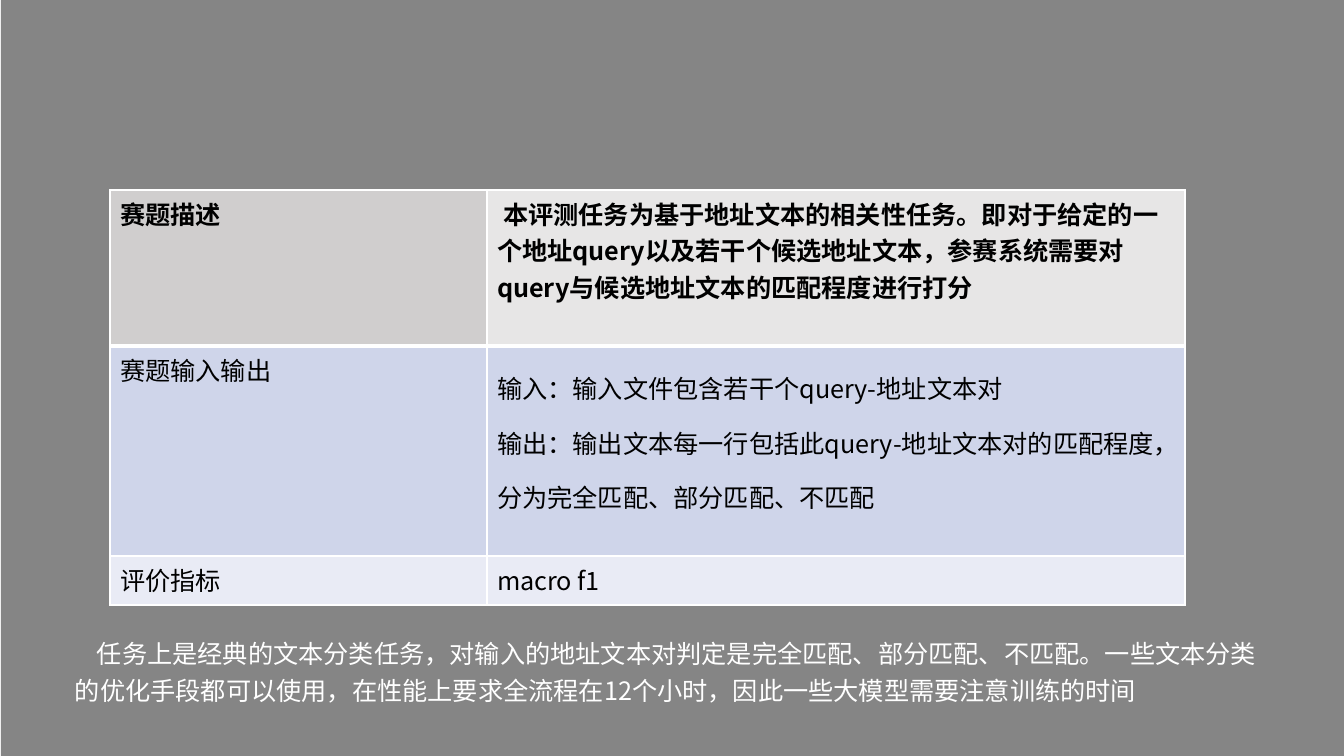
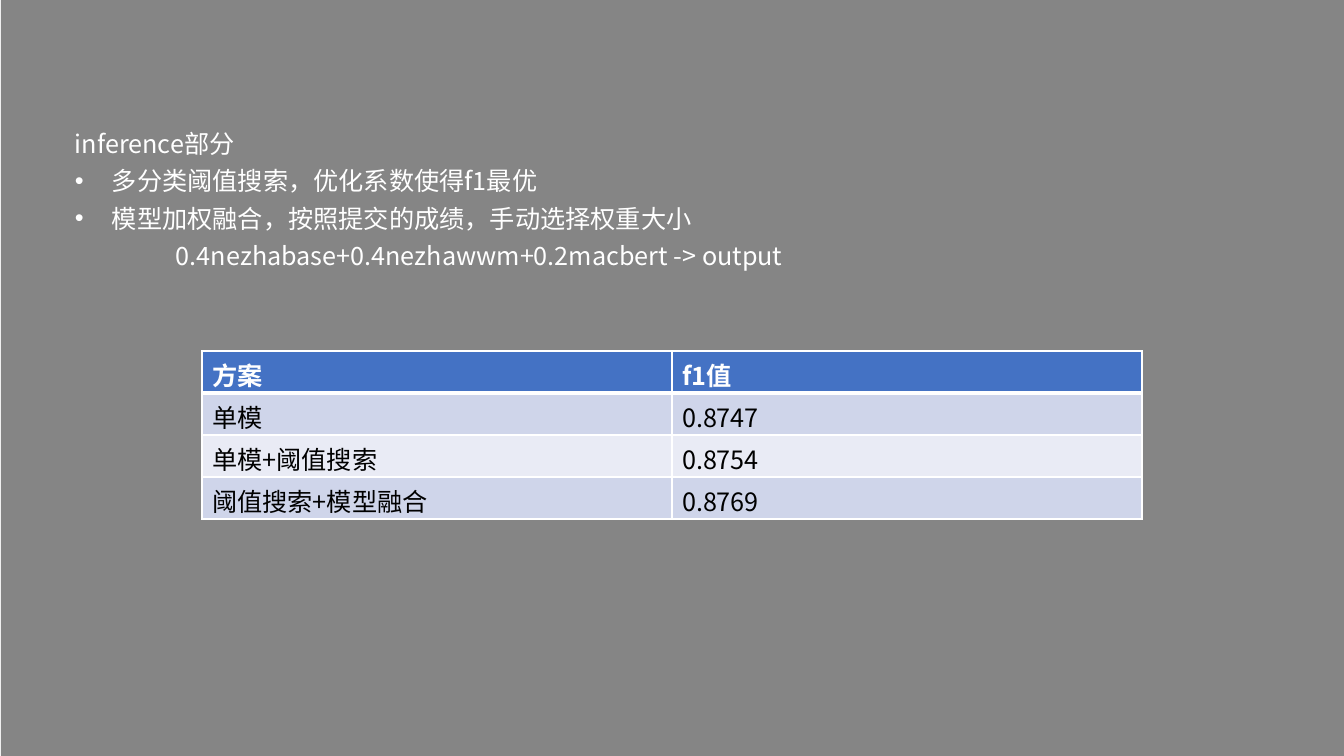
from dataclasses import dataclass

from lxml import etree
from pptx import Presentation
from pptx import util as u
from pptx.dml.color import RGBColor
from pptx.enum import shapes, text
from pptx.oxml.ns import qn

SLIDE_W, SLIDE_H = 1344, 756
PX_PER_INCH = 100.8
BLANK_LAYOUT = 6


@dataclass(frozen=True)
class Theme:
    font: str = "Noto Sans CJK SC"
    size: int = 18
    white: str = "FFFFFF"
    black: str = "000000"
    scrim: str = "0D0D0D"
    header: str = "4472C4"
    label_head: str = "D0CECE"
    value_head: str = "E7E6E6"
    bands: tuple = ("CFD5EA", "E9EBF5")
    thin: int = 1
    thick: int = 3
    note_spacing: float = 1.24
    cell_spacing: float = 1.5


THEME = Theme()


@dataclass(frozen=True)
class Para:
    """One paragraph; margin and first-line indent are in px."""
    words: str
    margin: int = 0
    indent: int = 0
    bullet: str = ""


def px(n):
    return u.Emu(round(n * 914400 / PX_PER_INCH))


def child(parent, tag, **attrs):
    return etree.SubElement(parent, qn(tag), attrs)


def write(frame, paras, color, bold=False, spacing=1.0):
    for i, para in enumerate(paras):
        line = frame.paragraphs[0] if i == 0 else frame.add_paragraph()
        line.line_spacing = spacing
        props = line._p.get_or_add_pPr()
        props.set("marL", str(px(para.margin)))
        props.set("indent", str(px(para.indent)))
        if para.bullet:
            child(props, "a:buFont", typeface="Arial")
            child(props, "a:buChar", char=para.bullet)
        run = line.add_run()
        run.text = para.words
        run.font.size = u.Pt(THEME.size)
        run.font.bold = bold
        run.font.color.rgb = RGBColor.from_string(color)
        run.font.name = THEME.font
        child(run._r.get_or_add_rPr(), "a:ea", typeface=THEME.font)


def add_scrim(slide):
    """Put the half-transparent dark layer on the layout all slides share."""
    scrim = slide.shapes.add_shape(
        shapes.MSO_SHAPE.RECTANGLE, px(1), 0, px(SLIDE_W), px(SLIDE_H))
    scrim.shadow.inherit = False
    scrim.line.fill.background()
    scrim.fill.solid()
    scrim.fill.fore_color.rgb = RGBColor.from_string(THEME.scrim)
    tint = scrim.element.spPr.find(".//" + qn("a:srgbClr"))
    child(tint, "a:alpha", val="50000")
    scrim.element.nvSpPr.cNvPr.set("id", "100")
    slide.slide_layout.shapes.element.insert(2, scrim.element)


def add_note(slide, box, paras):
    note = slide.shapes.add_textbox(*map(px, box)).text_frame
    note.word_wrap = True
    note.auto_size = text.MSO_AUTO_SIZE.SHAPE_TO_FIT_TEXT
    write(note, paras, THEME.white, spacing=THEME.note_spacing)


def set_borders(cell, top, bottom):
    props = cell._tc.get_or_add_tcPr()
    widths = {"a:lnL": THEME.thin, "a:lnR": THEME.thin,
              "a:lnT": top, "a:lnB": bottom}
    for side, width in widths.items():
        border = child(props, side, w=str(u.Pt(width)))
        child(child(border, "a:solidFill"), "a:srgbClr", val=THEME.white)


def add_grid(slide, origin, widths, heights, rows, head_fills, head_color):
    """Draw a header row and banded body rows; each cell is a list of Para."""
    size = sum(widths), sum(heights)
    grid = slide.shapes.add_table(
        len(rows), len(widths), *map(px, (*origin, *size))).table
    for column, width in zip(grid.columns, widths):
        column.width = px(width)
    for r, (row, height) in enumerate(zip(rows, heights)):
        grid.rows[r].height = px(height)
        is_head = r == 0
        for c, paras in enumerate(row):
            cell = grid.cell(r, c)
            cell.margin_bottom = 0
            set_borders(cell, THEME.thick if r == 1 else THEME.thin,
                        THEME.thick if is_head else THEME.thin)
            cell.fill.solid()
            fill = head_fills[c] if is_head else THEME.bands[(r - 1) % 2]
            cell.fill.fore_color.rgb = RGBColor.from_string(fill)
            write(cell.text_frame, paras,
                  head_color if is_head else THEME.black, is_head,
                  THEME.cell_spacing if len(paras) > 1 else 1.0)


def build_task(slide):
    add_note(slide, (65, 626, 1213, 101), [Para(
        "任务上是经典的文本分类任务，对输入的地址文本对判定是完全匹配、部分匹配、不匹配。"
        "一些文本分类的优化手段都可以使用，在性能上要求全流程在12个小时，"
        "因此一些大模型需要注意训练的时间", indent=22)])
    rows = [
        ([Para("赛题描述")], [Para(
            "本评测任务为基于地址文本的相关性任务。即对于给定的一个地址query"
            "以及若干个候选地址文本，参赛系统需要对query与候选地址文本的"
            "匹配程度进行打分", indent=6)]),
        ([Para("赛题输入输出")], [
            Para("输入：输入文件包含若干个query-地址文本对"),
            Para("输出：输出文本每一行包括此query-地址文本对的匹配程度，"
                 "分为完全匹配、部分匹配、不匹配")]),
        ([Para("评价指标")], [Para("macro f1")]),
    ]
    add_grid(slide, (110, 190), (377, 698), (156, 210, 49), rows,
             (THEME.label_head, THEME.value_head), THEME.black)


def build_inference(slide):
    steps = ("多分类阈值搜索，优化系数使得f1最优",
             "模型加权融合，按照提交的成绩，手动选择权重大小")
    add_note(slide, (65, 116, 1213, 192), [
        Para("inference部分"),
        *(Para(step, 37, -37, "•") for step in steps),
        Para("0.4nezhabase+0.4nezhawwm+0.2macbert -> output", 101)])
    scores = (("方案", "f1值"), ("单模", "0.8747"),
              ("单模+阈值搜索", "0.8754"), ("阈值搜索+模型融合", "0.8769"))
    rows = [[[Para(words)] for words in score] for score in scores]
    add_grid(slide, (202, 351), (470, 470), (42,) * len(rows), rows,
             (THEME.header,) * 2, THEME.white)


def main():
    deck = Presentation()
    deck.slide_width, deck.slide_height = px(SLIDE_W), px(SLIDE_H)
    layout = deck.slide_layouts[BLANK_LAYOUT]
    builders = (build_task, build_inference)
    slides = [deck.slides.add_slide(layout) for _ in builders]
    add_scrim(slides[0])
    for build, slide in zip(builders, slides):
        build(slide)
    deck.save("out.pptx")


if __name__ == "__main__":
    main()
